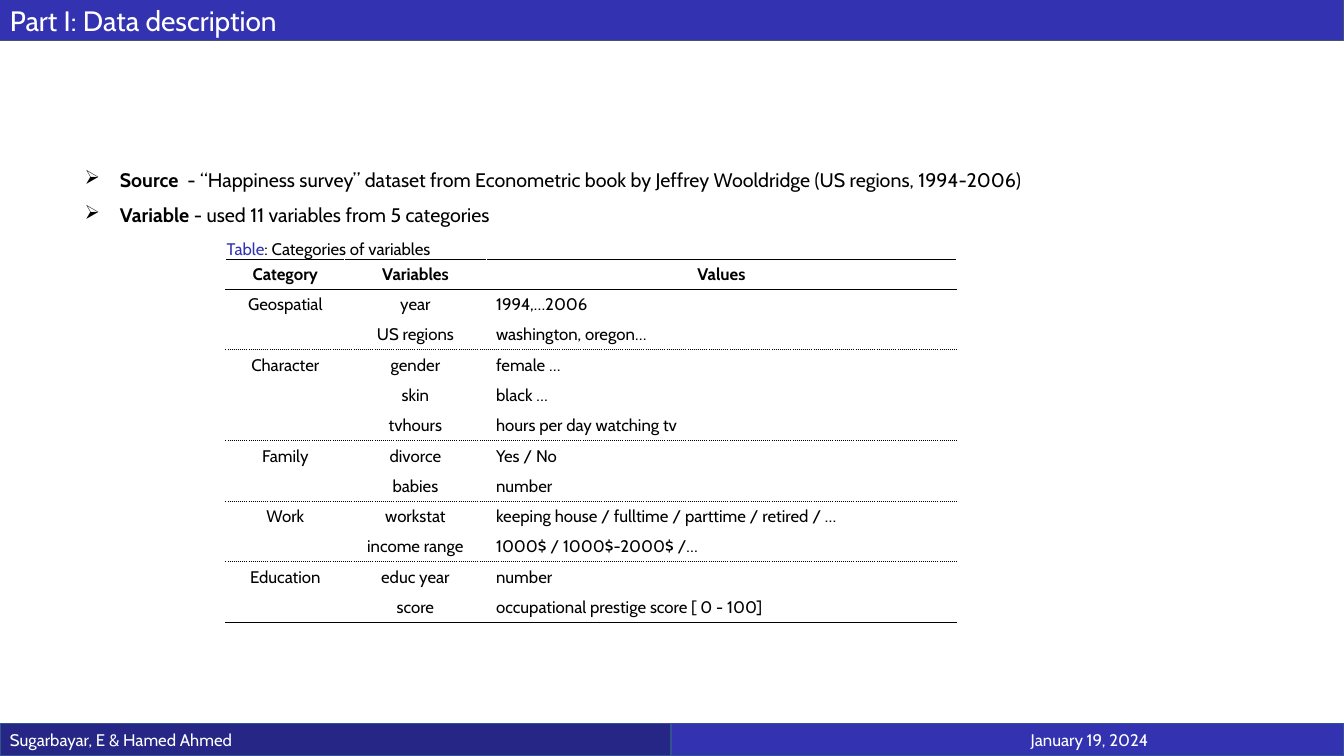
from lxml.etree import SubElement
from pptx import Presentation
from pptx.dml.color import RGBColor
from pptx.enum.shapes import MSO_SHAPE
from pptx.enum.text import MSO_ANCHOR, PP_ALIGN
from pptx.oxml.ns import qn
from pptx.util import Inches, Pt

FONT = "Cabin"
BLACK, WHITE, BLUE, NAVY = "000000", "FFFFFF", "3333B2", "262686"
HEADER = ["Category", "Variables", "Values"]
GROUPS = [
    ("Geospatial", [("year", "1994,…2006"),
                    ("US regions", "washington, oregon…")]),
    ("Character", [("gender", "female …"),
                   ("skin", "black …"),
                   ("tvhours", "hours per day watching tv")]),
    ("Family", [("divorce", "Yes / No"),
                ("babies", "number")]),
    ("Work", [("workstat", "keeping house / fulltime / parttime / retired / …"),
              ("income range", "1000$ / 1000$-2000$ /…")]),
    ("Education", [("educ year", "number"),
                   ("score", "occupational prestige score [ 0 - 100]")]),
]
SOLID, DOTTED, BLANK = (BLACK, "solid"), (BLACK, "sysDot"), (WHITE, "solid")


def rgb(color):
    return RGBColor.from_string(color)


def add_run(p, text, size, color=BLACK, bold=False):
    r = p.add_run()
    r.text = text
    r.font.name, r.font.size, r.font.bold = FONT, Pt(size), bold
    r.font.color.rgb = rgb(color)


def add_bar(s, x, y, w, h, text, size, fill, line, line_width=1,
            align=PP_ALIGN.LEFT, right_inset=0.1):
    """Draw a filled strip with one line of white text."""
    sp = s.shapes.add_shape(MSO_SHAPE.RECTANGLE, Inches(x), Inches(y), Inches(w), Inches(h))
    sp.shadow.inherit = False
    sp.fill.solid()
    sp.fill.fore_color.rgb = rgb(fill)
    sp.line.color.rgb = rgb(line)
    sp.line.width = Pt(line_width)
    tf = sp.text_frame
    tf.word_wrap = True
    tf.vertical_anchor = MSO_ANCHOR.MIDDLE
    tf.margin_right = Inches(right_inset)
    p = tf.paragraphs[0]
    p.alignment = align
    add_run(p, text, size, WHITE)


def add_text_frame(s, x, y, w, h):
    tf = s.shapes.add_textbox(Inches(x), Inches(y), Inches(w), Inches(h)).text_frame
    tf.word_wrap = True
    return tf


def add_bullets(s, x, y, w, h, items):
    """List items, each a bold term followed by its explanation."""
    tf = add_text_frame(s, x, y, w, h)
    tf.margin_top = Inches(0.4)
    for i, (term, text) in enumerate(items):
        p = tf.add_paragraph() if i else tf.paragraphs[0]
        p.line_spacing = 1.5
        pPr = p._p.get_or_add_pPr()
        pPr.set("marL", str(Inches(0.5)))
        pPr.set("indent", str(-Inches(0.35)))
        color = SubElement(pPr, qn("a:buClr"))
        SubElement(color, qn("a:srgbClr"), val=BLACK)
        SubElement(pPr, qn("a:buChar"), char="➢")
        add_run(p, term, 14, bold=True)
        add_run(p, text, 14)


def set_borders(cell, top, bottom):
    tcPr = cell._tc.get_or_add_tcPr()
    edges = {"a:lnL": BLANK, "a:lnR": BLANK, "a:lnT": top, "a:lnB": bottom}
    for tag, (color, dash) in edges.items():
        ln = SubElement(tcPr, qn(tag), w=str(Pt(0.75)))
        fill = SubElement(ln, qn("a:solidFill"))
        SubElement(fill, qn("a:srgbClr"), val=color)
        SubElement(ln, qn("a:prstDash"), val=dash)


def fill_cell(cell, text, top, bottom, align=PP_ALIGN.CENTER, bold=False):
    set_borders(cell, top, bottom)
    cell.fill.background()
    p = cell.text_frame.paragraphs[0]
    p.alignment = align
    if text:
        add_run(p, text, 12, bold=bold)


def add_variable_table(s, x, y, col_widths, row_height):
    """Header row, then one block of rows per category."""
    n_rows = 1 + sum(len(rows) for _, rows in GROUPS)
    table = s.shapes.add_table(n_rows, len(HEADER), Inches(x), Inches(y),
                               Inches(sum(col_widths)), Inches(row_height * n_rows)).table
    table.first_row = table.horz_banding = False
    for col, width in zip(table.columns, col_widths):
        col.width = Inches(width)
    for row in table.rows:
        row.height = Inches(row_height)
    for c, title in enumerate(HEADER):
        fill_cell(table.cell(0, c), title, SOLID, SOLID, bold=True)

    first, above = 1, SOLID
    for category, rows in GROUPS:
        last = first + len(rows) - 1
        below = SOLID if last == n_rows - 1 else DOTTED
        for i, (variable, values) in enumerate(rows, first):
            top = above if i == first else BLANK
            bottom = below if i == last else BLANK
            fill_cell(table.cell(i, 0), category if i == first else "", above, below)
            fill_cell(table.cell(i, 1), variable, top, bottom)
            fill_cell(table.cell(i, 2), values, top, bottom, PP_ALIGN.LEFT)
        table.cell(first, 0).merge(table.cell(last, 0))
        first, above = last + 1, below


def add_caption(s, x, y, w, h):
    p = add_text_frame(s, x, y, w, h).paragraphs[0]
    add_run(p, "Table", 12, BLUE)
    add_run(p, ": Categories of variables", 12)


def add_footer(s, x, y, w, h):
    half = w / 2 + 0.01
    add_bar(s, x, y, half, h, "Sugarbayar, E & Hamed Ahmed", 12, NAVY, "31538F")
    add_bar(s, x + w - half, y, half, h, "January 19, 2024", 12, BLUE, "31538F",
            align=PP_ALIGN.RIGHT, right_inset=1.94)


def main():
    prs = Presentation()
    prs.slide_width, prs.slide_height = Inches(13.33), Inches(7.5)
    s = prs.slides.add_slide(prs.slide_layouts[6])
    add_bar(s, 0, 0, 13.33, 0.4, "Part I: Data description", 20, BLUE, "44546A", 0.75)
    add_bullets(s, 0.59, 1.15, 11.93, 4.86, [
        ("Source  ", "- “Happiness survey” dataset from Econometric book "
                     "by Jeffrey Wooldridge (US regions, 1994-2006)"),
        ("Variable ", "- used 11 variables from 5 categories"),
    ])
    add_footer(s, 0, 7.18, 13.33, 0.32)
    add_variable_table(s, 2.24, 2.57, [1.18, 1.4, 4.67], 0.3)
    add_caption(s, 2.15, 2.32, 3.24, 0.3)
    prs.save("out.pptx")


if __name__ == "__main__":
    main()
